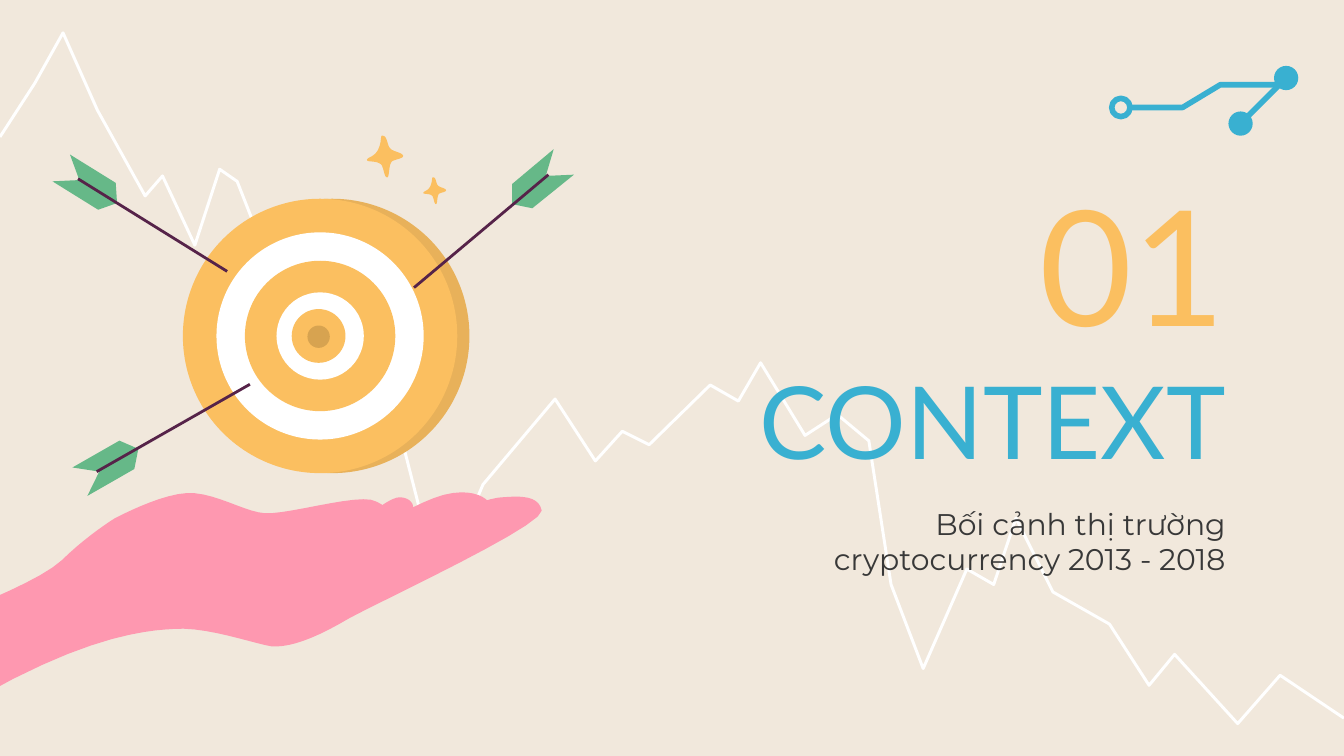
from dataclasses import dataclass

from lxml import etree
from pptx import Presentation
from pptx import util as u
from pptx.dml import color
from pptx.enum import shapes, text
from pptx.oxml import ns

Pt = u.Pt


@dataclass(frozen=True)
class Theme:
    sand: str = "F1E8DC"
    white: str = "FFFFFF"
    blue: str = "39B0D1"
    gold: str = "FBBF60"
    shade: str = "E8B15A"
    coin: str = "D7A350"
    green: str = "66B888"
    plum: str = "562349"
    pink: str = "FE98B0"
    ink: str = "383838"
    head: str = "Lato"
    body: str = "Montserrat"
    huge: int = 86
    big: int = 54
    small: int = 16


T = Theme()

TREND = [
    (0, 56.4), (18.7, 27.6), (33.8, 0.6), (52.2, 42), (77.8, 88), (87.1, 77.3),
    (104.4, 114.4), (117.7, 73.7), (127.1, 80.2), (142.9, 120.5), (165.2, 145.4),
    (176.8, 191.8), (214.9, 217), (232.2, 284.7), (244.8, 275.7), (258.8, 242.6),
    (297.4, 196.8), (319, 230), (333.4, 214.1), (347.8, 221.3), (380.5, 189.3),
    (395.6, 197.9), (407.5, 177.4), (431.3, 216.3), (448.6, 205.1), (465.5, 219.2),
    (477.4, 296.2), (494.6, 341.2), (518, 287.9), (532.4, 296.2), (544.3, 260.6),
    (564.1, 300.2), (594.4, 317.4), (615.6, 350.2), (629.3, 333.6), (663.1, 370.7),
    (685.8, 344.8), (720, 367.8)]

PALM = [
    (91.2, 15.9), (91.2, 15.9), (115, 3), (130.1, 2.2),
    (144.5, 1.5), (161, 12.3), (171.8, 13), (183.4, 13.8), (217.2, 3.7), (228.7, 5.8),
    (239.5, 8.7), (241, 16.6), (238.8, 22.4), (237.4, 28.2), (226.6, 32.5), (226.6, 32.5),
    (226.6, 32.5), (253.2, 21.7), (261.8, 18.1), (269.8, 14.5), (289.9, 4.4), (300, 4.4),
    (309.4, 3.7), (318.7, 3.7), (320.2, 11.6), (320.9, 19.5), (237.4, 58.4), (217.2, 69.2),
    (197.8, 80.7), (184.8, 85), (175.4, 84.3), (166.1, 82.9), (140.2, 73.5), (122.9, 75),
    (111.4, 75.7), (79.7, 77.1), (19.9, 111), (18.5, 108.1), (-0.2, 69.2), (-0.2, 69.2),
    (-0.2, 69.2), (50.2, 50.5), (63.1, 38.2), (76.1, 25.3), (91.2, 15.9), (91.2, 15.9)]
THUMB = [
    (218.6, 22.4), (223, 17.4), (238.8, 3.7), (244.6, 4.4),
    (251.8, 5.1), (251.8, 10.2), (251, 11.6), (250.3, 13), (223.7, 33.9), (223, 32.5),
    (222.2, 31), (218.6, 22.4), (218.6, 22.4)]
FINGER = [
    (221.5, 28.2), (228, 22.4), (258.2, 3.7), (272.6, 2.2),
    (287, 0.1), (293.5, 7.3), (292.8, 9.4), (291.4, 10.9), (235.9, 39.7), (233, 39.7),
    (230.2, 39), (221.5, 28.2), (221.5, 28.2)]
SPARK = [
    (0.44, 0), (0.44, 0), (0.44, 0), (0.41, 0),
    (0.37, 0.03), (0.41, 0.16), (0.3, 0.35), (0.19, 0.52), (0, 0.52), (0, 0.58),
    (0, 0.65), (0.3, 0.58), (0.41, 0.71), (0.48, 0.84), (0.48, 1), (0.56, 1),
    (0.63, 1), (0.59, 0.68), (0.7, 0.61), (0.85, 0.55), (1, 0.55), (1, 0.48),
    (0.96, 0.39), (0.7, 0.39), (0.63, 0.29), (0.56, 0.23), (0.56, 0), (0.44, 0)]

ARROWS = [
    ((51.8, 252.7), (82.1, -46.8),
     [(12.2, -16.6), (-13, -2.2), (1.4, 0), (-5, 13), (20.2, -1.4), (22.3, -12.2)]),
    ((293.8, 93.6), (-72, 60.5),
     [(2.9, -13.7), (-19.4, 5), (-19.4, 15.8), (-8.6, 18), (13.7, 0), (-1.4, 0.7)]),
    ((41.8, 95.8), (79.9, 49.6),
     [(-4.3, -13), (0.7, 0.7), (-13.7, 1.4), (10.8, 16.6), (20.9, 13), (20.2, 2.2)])]


def rgb(tone):
    return color.RGBColor.from_string(tone)


def paint(shape, fill=None, line=None, width=1):
    shape.shadow.inherit = False
    if fill:
        shape.fill.solid()
        shape.fill.fore_color.rgb = rgb(fill)
    else:
        shape.fill.background()
    if line:
        shape.line.color.rgb = rgb(line)
        shape.line.width = Pt(width)
    else:
        shape.line.fill.background()


def curve(knots, steps=10):
    dots = [knots[0]]
    for i in range(0, len(knots) - 1, 3):
        a, b, c, d = knots[i:i + 4]
        for k in range(1, steps + 1):
            t = k / steps
            s = 1 - t
            dots.append(tuple(
                s**3 * p + 3 * s * s * t * q + 3 * s * t * t * r + t**3 * v
                for p, q, r, v in zip(a, b, c, d)))
    return dots


def path_of(slide, box, dots, close=True, **look):
    x, y = box[:2]
    pts = [(Pt(x + dx), Pt(y + dy)) for dx, dy in dots]
    pen = slide.shapes.build_freeform(*pts[0], scale=1.0)
    pen.add_line_segments(pts[1:], close=close)
    paint(pen.convert_to_shape(), **look)


def disc(slide, x, y, size, **look):
    oval = slide.shapes.add_shape(
        shapes.MSO_SHAPE.OVAL, Pt(x - size / 2), Pt(y - size / 2), Pt(size), Pt(size))
    paint(oval, **look)


def rod(slide, x, y, dx, dy, tone, width):
    line = slide.shapes.add_connector(
        shapes.MSO_CONNECTOR.STRAIGHT, Pt(x), Pt(y), Pt(x + dx), Pt(y + dy))
    line.line.color.rgb = rgb(tone)
    line.line.width = Pt(width)
    etree.SubElement(line._element.spPr, ns.qn("a:effectLst"))


def write(slide, box, words, size, font, tone, anchor=text.MSO_ANCHOR.MIDDLE, after=0):
    frame = slide.shapes.add_textbox(*map(Pt, box)).text_frame
    frame.word_wrap = True
    frame.vertical_anchor = anchor
    frame.margin_left = frame.margin_right = Pt(7.2)
    frame.margin_top = frame.margin_bottom = Pt(7.2)
    para = frame.paragraphs[0]
    para.alignment = text.PP_ALIGN.RIGHT
    para.space_after = Pt(after)
    run = para.add_run()
    run.text = words
    run.font.size = Pt(size)
    run.font.name = font
    run.font.color.rgb = rgb(tone)


def trend(slide, box):
    path_of(slide, box, TREND, close=False, line=T.white, width=1.6)


def circuit(slide, box):
    x, y = box[:2]
    wire = [(11, 22.6), (39.6, 22.6), (59.8, 10.4), (91.4, 10.4)]
    path_of(slide, box, wire, close=False, line=T.blue, width=3)
    disc(slide, x + 6.5, y + 22.6, 9.8, line=T.blue, width=3)
    for dx, dy in [(70.6, 31.2), (95, 6.8)]:
        disc(slide, x + dx, y + dy, 13, fill=T.blue)
    rod(slide, x + 73.1, y + 28.7, 19.4, -19.4, T.blue, 3)


def target(slide, box):
    x, y, wide, high = box
    mid, row = x + wide / 2, y + high / 2
    disc(slide, mid + 6.5, row, wide, fill=T.shade)
    rings = [(wide, T.gold), (111, T.white), (80.6, T.gold), (46.8, T.white)]
    for size, tone in rings:
        disc(slide, mid, row, size, fill=tone)
    disc(slide, mid - 0.8, row, 28.8, fill=T.gold)
    disc(slide, mid - 0.8, row + 0.4, 12, fill=T.coin)


def arrow(slide, tail, reach, vane):
    path_of(slide, tail, vane, fill=T.green)
    rod(slide, *tail, *reach, T.plum, 1.5)


def hand(slide, box):
    for part in (THUMB, FINGER, PALM):
        path_of(slide, box, curve(part), fill=T.pink)


def spark(slide, box):
    wide, high = box[2:]
    dots = [(dx * wide, dy * high) for dx, dy in curve(SPARK)]
    path_of(slide, box, dots, fill=T.gold)


def titles(slide, box):
    x, y, wide, high = box
    write(slide, (x, y + 88.6, wide, 78.5), "CONTEXT", T.big, T.head, T.blue)
    write(slide, (x + 133, y, wide - 133, 88.6), "01", T.huge, T.head, T.gold)
    write(slide, (x + 127.4, y + 167, wide - 127.4, high - 167),
          "Bối cảnh thị trường cryptocurrency 2013 - 2018",
          T.small, T.body, T.ink, anchor=text.MSO_ANCHOR.TOP, after=12)


def main():
    deck = Presentation()
    deck.slide_width, deck.slide_height = Pt(720), Pt(405)
    slide = deck.slides.add_slide(deck.slide_layouts[6])
    slide.background.fill.solid()
    slide.background.fill.fore_color.rgb = rgb(T.sand)
    trend(slide, (0, 17, 720, 371))
    circuit(slide, (594, 35, 102, 38))
    titles(slide, (270.7, 96.5, 393.1, 218.9))
    target(slide, (98, 106.5, 147, 147))
    for tail, reach, vane in ARROWS:
        arrow(slide, tail, reach, vane)
    hand(slide, (-30, 262, 321, 111))
    for box in [(196.6, 72.7, 19.4, 22.3), (226.8, 95, 12.2, 14.4)]:
        spark(slide, box)
    deck.save("out.pptx")


if __name__ == "__main__":
    main()
